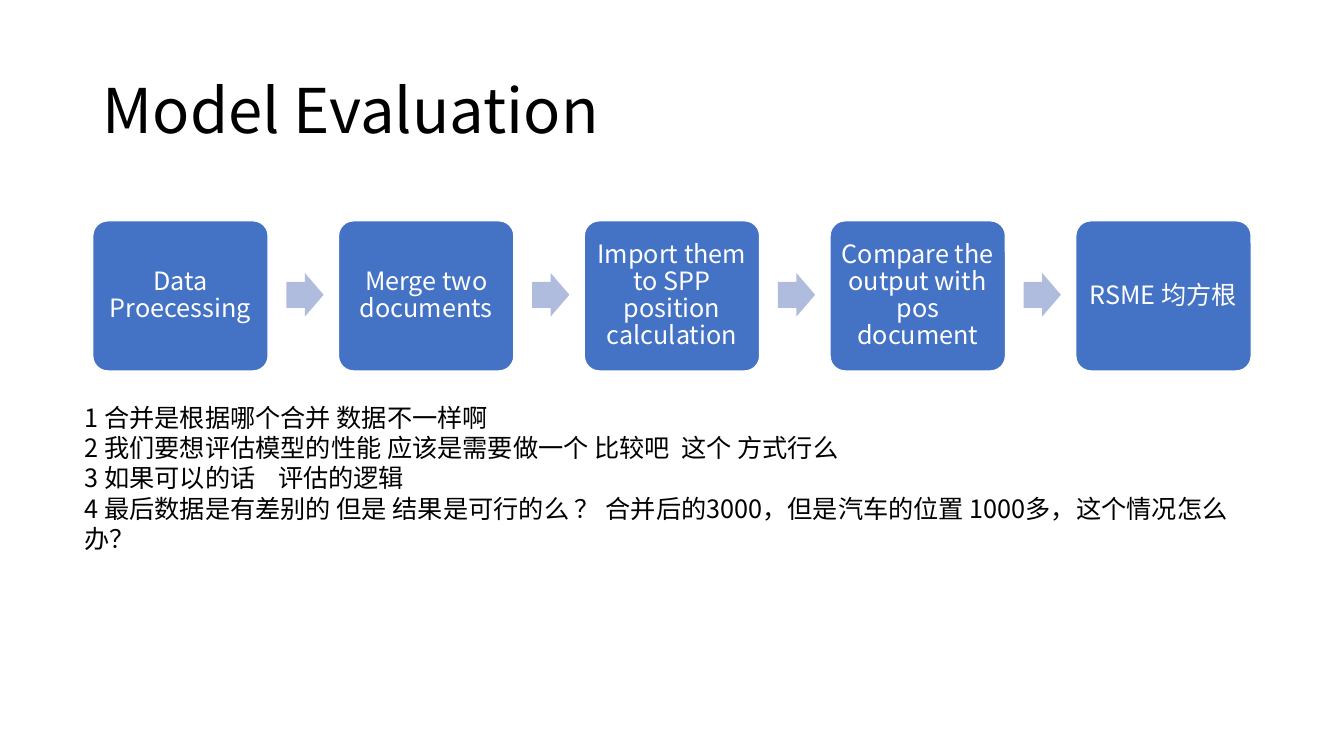
from pptx import Presentation
from pptx.dml.color import RGBColor
from pptx.enum.shapes import MSO_SHAPE
from pptx.enum.text import MSO_ANCHOR, PP_ALIGN
from pptx.oxml.ns import qn
from pptx.util import Inches, Pt
from lxml.etree import SubElement

FONT = "Noto Sans CJK SC"


def tint(item, color):
    item.solid()
    item.fore_color.rgb = RGBColor.from_string(color)


def write(shape, text, size=18, color="000000", align=PP_ALIGN.LEFT,
          anchor=MSO_ANCHOR.TOP, space=1.0, side=0.1, top=0.05):
    frame = shape.text_frame
    frame.word_wrap = True
    frame.vertical_anchor = anchor
    frame.margin_left = frame.margin_right = Inches(side)
    frame.margin_top = frame.margin_bottom = Inches(top)
    frame.text = text
    for para in frame.paragraphs:
        para.alignment = align
        para.line_spacing = space
        for run in para.runs:
            run.font.size = Pt(size)
            run.font.name = FONT
            tint(run.font.fill, color)
            SubElement(run.font._element, qn("a:ea"), typeface=FONT)


deck = Presentation()
deck.slide_width = Inches(13.33)
deck.slide_height = Inches(7.5)
slide = deck.slides.add_slide(deck.slide_layouts[5])
shapes = slide.shapes

title = shapes.title
title.left, title.top = Inches(0.92), Inches(0.4)
title.width, title.height = Inches(11.5), Inches(1.45)
write(title, "Model Evaluation", size=44, anchor=MSO_ANCHOR.MIDDLE, space=0.9)

steps = [
    "Data Proecessing",
    "Merge two documents",
    "Import them to SPP position calculation",
    "Compare the output with pos document",
    "RSME 均方根",
]
left, pitch = 0.92, 2.4375
for i, step in enumerate(steps):
    x = left + i * pitch
    box = shapes.add_shape(MSO_SHAPE.ROUNDED_RECTANGLE, Inches(x), Inches(2.19),
                           Inches(1.74), Inches(1.49))
    box.adjustments[0] = 0.1
    box.shadow.inherit = False
    tint(box.fill, "4472C4")
    tint(box.line.fill, "FFFFFF")
    box.line.width = Pt(1)
    write(box, step, color="FFFFFF", align=PP_ALIGN.CENTER,
          anchor=MSO_ANCHOR.MIDDLE, space=0.9, side=0.07, top=0.07)
    if i < len(steps) - 1:
        arrow = shapes.add_shape(MSO_SHAPE.RIGHT_ARROW, Inches(x + 1.92),
                                 Inches(2.71), Inches(0.37), Inches(0.43))
        arrow.adjustments[0] = 0.6
        arrow.adjustments[1] = 0.5
        arrow.shadow.inherit = False
        tint(arrow.fill, "B0BCDE")
        arrow.line.fill.background()

notes = [
    "1 合并是根据哪个合并 数据不一样啊",
    "2 我们要想评估模型的性能 应该是需要做一个 比较吧  这个 方式行么",
    "3 如果可以的话    评估的逻辑",
    "4 最后数据是有差别的 但是 结果是可行的么 ？ 合并后的3000，但是汽车的位置 1000多，这个情况怎么办？",
]
body = shapes.add_textbox(Inches(0.74), Inches(3.94), Inches(11.78), Inches(2.52))
write(body, "\n".join(notes))

deck.save("out.pptx")
